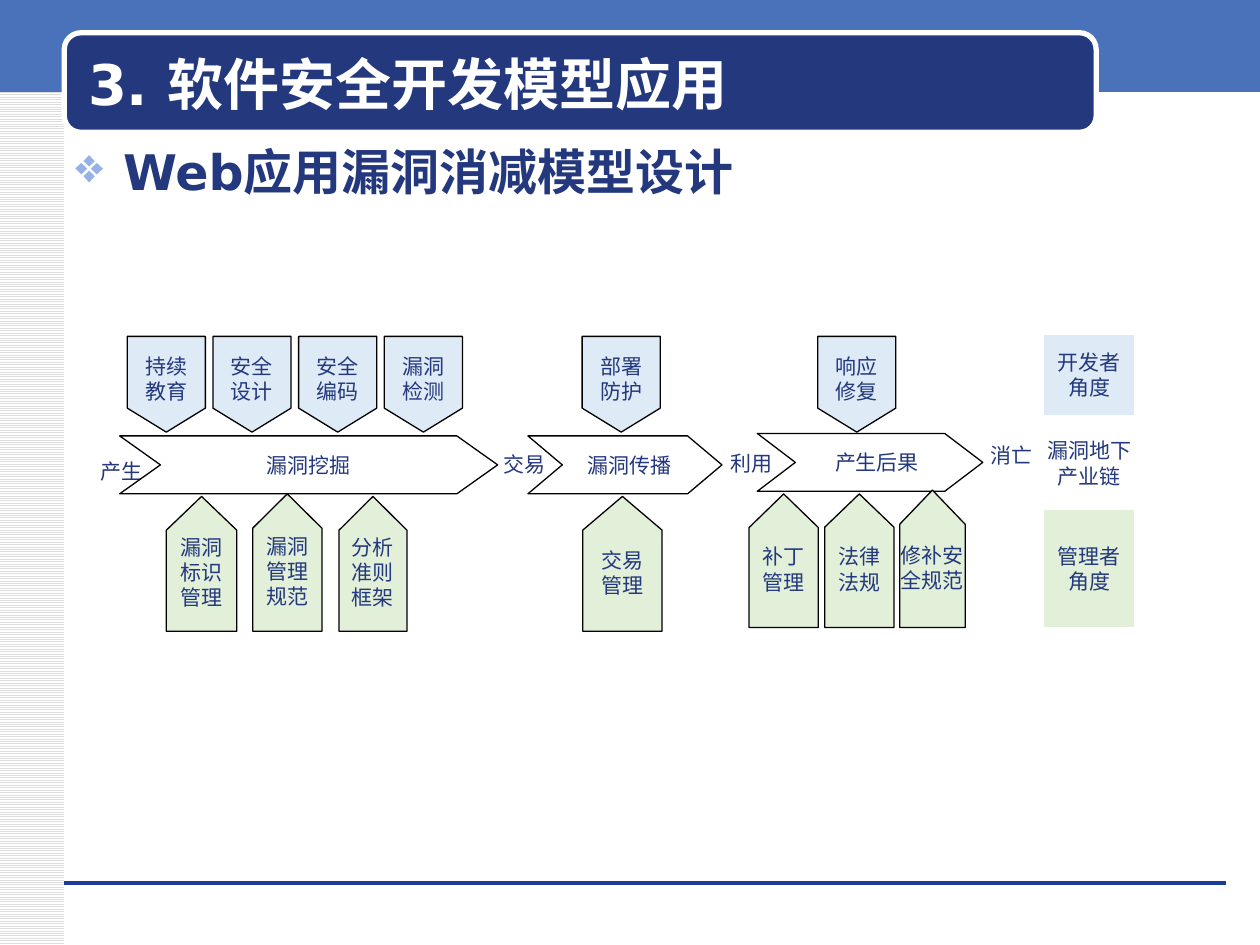
from lxml import etree
from pptx import Presentation
from pptx.dml.color import RGBColor
from pptx.enum.dml import MSO_PATTERN
from pptx.enum.shapes import MSO_CONNECTOR, MSO_SHAPE
from pptx.enum.text import MSO_ANCHOR, PP_ALIGN
from pptx.oxml.ns import qn
from pptx.util import Inches, Pt

RECTANGLE = MSO_SHAPE.RECTANGLE
ROUNDED = MSO_SHAPE.ROUNDED_RECTANGLE
CHEVRON = MSO_SHAPE.CHEVRON
PENTAGON = MSO_SHAPE.PENTAGON
STRAIGHT = MSO_CONNECTOR.STRAIGHT
STRIPES = MSO_PATTERN.LIGHT_HORIZONTAL
MIDDLE, TOP = MSO_ANCHOR.MIDDLE, MSO_ANCHOR.TOP
CENTER, LEFT = PP_ALIGN.CENTER, PP_ALIGN.LEFT

HEADING_FONT, LABEL_FONT = "DejaVu Sans", "Noto Sans CJK SC"
NAVY, WHITE, BLACK = "23387D", "FFFFFF", "000000"
DEVELOPER, MANAGER = "DEEAF6", "E2EFD9"
DEFAULT_INSETS = (0.1, 0.05, 0.1, 0.05)
NO_INSETS = (0, 0, 0, 0)


def color(value):
    return RGBColor.from_string(value)


def write(shape, text, size=12, font=LABEL_FONT, text_color=NAVY, bold=False,
          align=CENTER, anchor=MIDDLE, insets=DEFAULT_INSETS, direction=None):
    frame = shape.text_frame
    frame.text = text
    frame.word_wrap = True
    frame.vertical_anchor = anchor
    (frame.margin_left, frame.margin_top,
     frame.margin_right, frame.margin_bottom) = map(Inches, insets)
    if direction:
        frame._txBody.bodyPr.set("vert", direction)
    for paragraph in frame.paragraphs:
        paragraph.alignment = align
        for run in paragraph.runs:
            run.font.size = Pt(size)
            run.font.bold = bold
            run.font.name = font
            run.font.color.rgb = color(text_color)
            east_asian = etree.SubElement(run.font._element, qn("a:ea"))
            east_asian.set("typeface", font)


def add_box(slide, kind, box, fill=None, line=None, width=0.75, adjustment=None):
    shape = slide.shapes.add_shape(kind, *map(Inches, box))
    shape.shadow.inherit = False
    if fill:
        shape.fill.solid()
        shape.fill.fore_color.rgb = color(fill)
    if line:
        shape.line.color.rgb = color(line)
        shape.line.width = Pt(width)
    else:
        shape.line.fill.background()
    if adjustment is not None:
        shape.adjustments[0] = adjustment
    return shape


def add_text(slide, box, text, **style):
    write(slide.shapes.add_textbox(*map(Inches, box)), text, **style)


def add_tag(slide, center, top, width, height, text, fill, points_down,
            adjustment, insets):
    """Place an upright pentagon, turned so that it points up or down."""
    box = (center - height / 2, top + (height - width) / 2, height, width)
    shape = add_box(slide, PENTAGON, box, fill, BLACK, adjustment=adjustment)
    shape.rotation = 90 if points_down else 270
    write(shape, text, insets=insets,
          direction="vert270" if points_down else "vert")


def draw_background(slide, width, height):
    # Striped margin and top band
    margin = add_box(slide, RECTANGLE, (0, 0, 0.51, height))
    margin.fill.patterned()
    margin.fill.pattern = STRIPES
    margin.fill.fore_color.rgb = color("DDDDDD")
    margin.fill.back_color.rgb = color(WHITE)
    add_box(slide, RECTANGLE, (0, -0.03, width, 0.76), "4972BB")

    # Footer rule
    rule = slide.shapes.add_connector(
        STRAIGHT, Inches(0.51), Inches(7.01), Inches(9.73), Inches(7.01))
    rule.line.color.rgb = color("1A3D97")
    rule.line.width = Pt(0)
    etree.SubElement(rule._element.spPr, qn("a:effectLst"))


def draw_title(slide, box, text):
    left, top, width, height = box
    add_box(slide, ROUNDED, box, NAVY, WHITE, 3, 0.167)
    add_text(slide, (left + 0.09, top + 0.09, width, height - 0.17), text,
             size=32, font=HEADING_FONT, text_color=WHITE, bold=True, align=LEFT)


def draw_heading(slide, box, text):
    shape = slide.shapes.add_textbox(*map(Inches, box))
    write(shape, text, size=28, font=HEADING_FONT, bold=True, align=LEFT, anchor=TOP)
    paragraph = shape.text_frame.paragraphs[0]
    paragraph.space_before = Pt(2.5)
    properties = paragraph._p.get_or_add_pPr()
    properties.set("marL", str(Inches(0.38)))
    properties.set("indent", str(-Inches(0.38)))
    bullet_color = etree.SubElement(properties, qn("a:buClr"))
    etree.SubElement(bullet_color, qn("a:srgbClr")).set("val", "96B1E6")
    etree.SubElement(properties, qn("a:buChar")).set("char", "❖")


def draw_stage(slide, box, text, notch, text_shift, developer_tags,
               manager_tags, manager_bottom):
    """Draw one chevron with developer tags above and manager tags below."""
    chevron = add_box(slide, CHEVRON, box, WHITE, BLACK, adjustment=notch)
    write(chevron, text, insets=(0.1 + text_shift, 0.05, 0.1, 0.05))
    for center, label in developer_tags:
        add_tag(slide, center, 2.67, 0.62, 0.76, label, DEVELOPER, True,
                0.307, NO_INSETS)
    for center, width, height, label, tip, insets in manager_tags:
        add_tag(slide, center, manager_bottom - height, width, height, label,
                MANAGER, False, tip, insets)


def draw_legend(slide, left, width):
    entries = [
        (2.65, 0.65, "开发者\n角度", DEVELOPER, (0, 0.05, 0, 0.05)),
        (3.44, 0.47, "漏洞地下产业链", WHITE, NO_INSETS),
        (4.04, 0.94, "管理者\n角度", MANAGER, (0, 0.05, 0, 0.05)),
    ]
    for top, height, text, fill, insets in entries:
        shape = add_box(slide, RECTANGLE, (left, top, width, height), fill, WHITE)
        write(shape, text, insets=insets)


def draw_model(slide):
    # Events between the stages
    for left, top, width, height, text in [
            (0.75, 3.54, 0.43, 0.39, "产生"), (3.95, 3.54, 0.43, 0.28, "交易"),
            (5.75, 3.53, 0.43, 0.29, "利用"), (7.81, 3.42, 0.43, 0.39, "消亡")]:
        add_text(slide, (left, top, width, height), text, insets=NO_INSETS)

    # Stages: discovery, spread, consequences
    discovery = ["持续\n教育", "安全\n设计", "安全\n编码", "漏洞\n检测"]
    draw_stage(
        slide, (0.95, 3.46, 3, 0.46), "漏洞挖掘", 0.704, 0,
        [(1.32 + 0.68 * index, label) for index, label in enumerate(discovery)],
        [(1.6, 0.56, 1.07, "漏洞标识管理", 0.479, DEFAULT_INSETS),
         (2.28, 0.55, 1.09, "漏洞管理规范", 0.495, DEFAULT_INSETS),
         (2.96, 0.54, 1.07, "分析准则框架", 0.497, DEFAULT_INSETS)], 5.01)
    draw_stage(
        slide, (4.19, 3.46, 1.54, 0.46), "漏洞传播", 0.594, 0.07,
        [(4.93, "部署\n防护")],
        [(4.94, 0.63, 1.07, "交易管理", 0.425, DEFAULT_INSETS)], 5.01)
    draw_stage(
        slide, (6.01, 3.44, 1.79, 0.46), "产生后果", 0.658, 0.11,
        [(6.8, "响应\n修复")],
        [(6.22, 0.55, 1.06, "补丁管理", 0.485, DEFAULT_INSETS),
         (6.82, 0.55, 1.06, "法律法规", 0.48, DEFAULT_INSETS),
         (7.4, 0.52, 1.09, "修补安全规范", 0.521, (0.1, 0, 0.1, 0))], 4.98)

    draw_legend(slide, 8.28, 0.73)


def main():
    presentation = Presentation()
    presentation.slide_width, presentation.slide_height = Inches(10), Inches(7.5)
    slide = presentation.slides.add_slide(presentation.slide_layouts[6])
    draw_background(slide, 10, 7.5)
    draw_title(slide, (0.51, 0.26, 8.19, 0.79), "3. 软件安全开发模型应用")
    draw_heading(slide, (0.5, 1.07, 9, 4.98), "Web应用漏洞消减模型设计")
    draw_model(slide)
    presentation.save("out.pptx")


if __name__ == "__main__":
    main()
